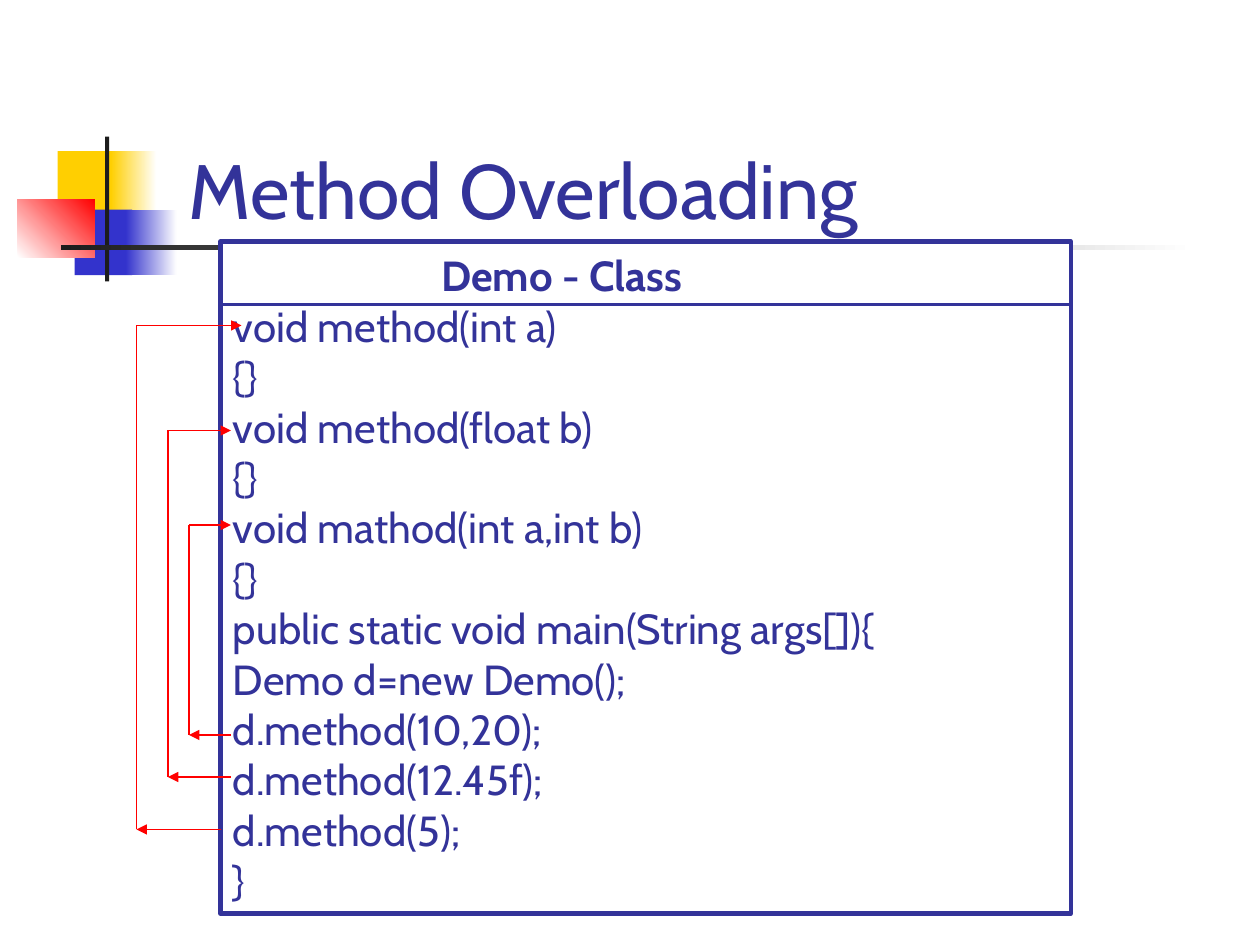
from dataclasses import dataclass

from lxml.etree import SubElement
from pptx import Presentation
from pptx.dml.color import RGBColor
from pptx.enum.shapes import MSO_CONNECTOR, MSO_SHAPE
from pptx.enum.text import MSO_ANCHOR, PP_ALIGN
from pptx.oxml.ns import qn
from pptx.util import Pt


@dataclass(frozen=True)
class Theme:
    font: str = "Cabin"
    ink: str = "333399"
    paper: str = "FFFFFF"
    yellow: str = "FFCF01"
    blue: str = "3333CC"
    red: str = "FF0000"
    dark: str = "1C1C1C"
    black: str = "000000"
    title_size: int = 44
    code_size: int = 24


theme = Theme()


def add_line(start, end, color, width=0.75, arrow=False):
    line = slide.shapes.add_connector(
        MSO_CONNECTOR.STRAIGHT, *(Pt(value) for value in (*start, *end)))
    line.line.color.rgb = RGBColor.from_string(color)
    line.line.width = Pt(width)
    properties = line._element.spPr
    if arrow:
        SubElement(properties.find(qn("a:ln")), qn("a:tailEnd"), type="triangle")
    SubElement(properties, qn("a:effectLst"))


def write(paragraph, text, size, bold=False, indent=0):
    paragraph.alignment = PP_ALIGN.LEFT
    paragraph._p.get_or_add_pPr().set("marL", str(Pt(indent)))
    run = paragraph.add_run()
    run.text = text
    run.font.name = theme.font
    run.font.size = Pt(size)
    run.font.bold = bold
    run.font.color.rgb = RGBColor.from_string(theme.ink)


presentation = Presentation()
presentation.slide_width, presentation.slide_height = Pt(720), Pt(540)
slide = presentation.slides.add_slide(presentation.slide_layouts[6])

# Corner ornament: left, top, width, height, first colour, last colour, angle
ornament = [
    (33, 86.4, 34.8, 37.4, theme.yellow, theme.yellow, 0),
    (63.4, 86.4, 26, 37.4, theme.yellow, theme.paper, 0),
    (42.6, 119.8, 33, 37.4, theme.blue, theme.blue, 0),
    (72, 119.8, 29, 37.4, theme.blue, theme.paper, 0),
    (10, 113.8, 44.2, 33.4, theme.paper, theme.red, 45),
    (60, 78, 2.4, 82.8, theme.dark, theme.dark, 0),
    (34.8, 140.2, 648, 2.4, theme.dark, theme.paper, 0),
]
for left, top, width, height, first, last, angle in ornament:
    block = slide.shapes.add_shape(
        MSO_SHAPE.RECTANGLE, Pt(left), Pt(top), Pt(width), Pt(height))
    block.shadow.inherit = False
    block.line.fill.background()
    if first == last:
        block.fill.solid()
        block.fill.fore_color.rgb = RGBColor.from_string(first)
    else:
        block.fill.gradient()
        block.fill.gradient_angle = angle
        for stop, color in zip(block.fill.gradient_stops, (first, last)):
            stop.color.rgb = RGBColor.from_string(color)

title = slide.shapes.add_textbox(Pt(90.6), Pt(48), Pt(613.4), Pt(90)).text_frame
title.word_wrap = True
title.vertical_anchor = MSO_ANCHOR.BOTTOM
write(title.paragraphs[0], "Method Overloading", theme.title_size, indent=10)

# Class box
box_left, box_top, box_width, box_height = 126, 138, 486, 384
class_box = slide.shapes.add_shape(
    MSO_SHAPE.RECTANGLE, Pt(box_left), Pt(box_top), Pt(box_width), Pt(box_height))
class_box.shadow.inherit = False
class_box.fill.solid()
class_box.fill.fore_color.rgb = RGBColor.from_string(theme.paper)
class_box.line.color.rgb = RGBColor.from_string(theme.ink)
class_box.line.width = Pt(2.5)
code = class_box.text_frame
code.word_wrap = True
code.vertical_anchor = MSO_ANCHOR.MIDDLE
write(code.paragraphs[0], "Demo - Class", theme.code_size, bold=True, indent=119)
code_lines = [
    "void method(int a)",
    "{}",
    "void method(float b)",
    "{}",
    "void mathod(int a,int b)",
    "{}",
    "public static void main(String args[]){",
    "Demo d=new Demo();",
    "d.method(10,20);",
    "d.method(12.45f);",
    "d.method(5);",
    "}",
]
for code_line in code_lines:
    write(code.add_paragraph(), code_line, theme.code_size)
add_line((box_left, 174), (box_left + box_width, 174), theme.ink, 2.25)

# Each call runs out to its lane, up the lane and into the matching method
routes = [
    (108, (132, 420), (132, 300)),
    (96, (132, 444), (132, 246)),
    (78, (126, 474), (138, 186)),
]
for lane, call, method in routes:
    add_line((lane, call[1]), (lane, method[1]), theme.red)
    add_line(call, (lane, call[1]), theme.red, arrow=True)
    add_line((lane, method[1]), method, theme.red, arrow=True)
add_line((108, 306), (108, 306), theme.black, arrow=True)

presentation.save("out.pptx")
